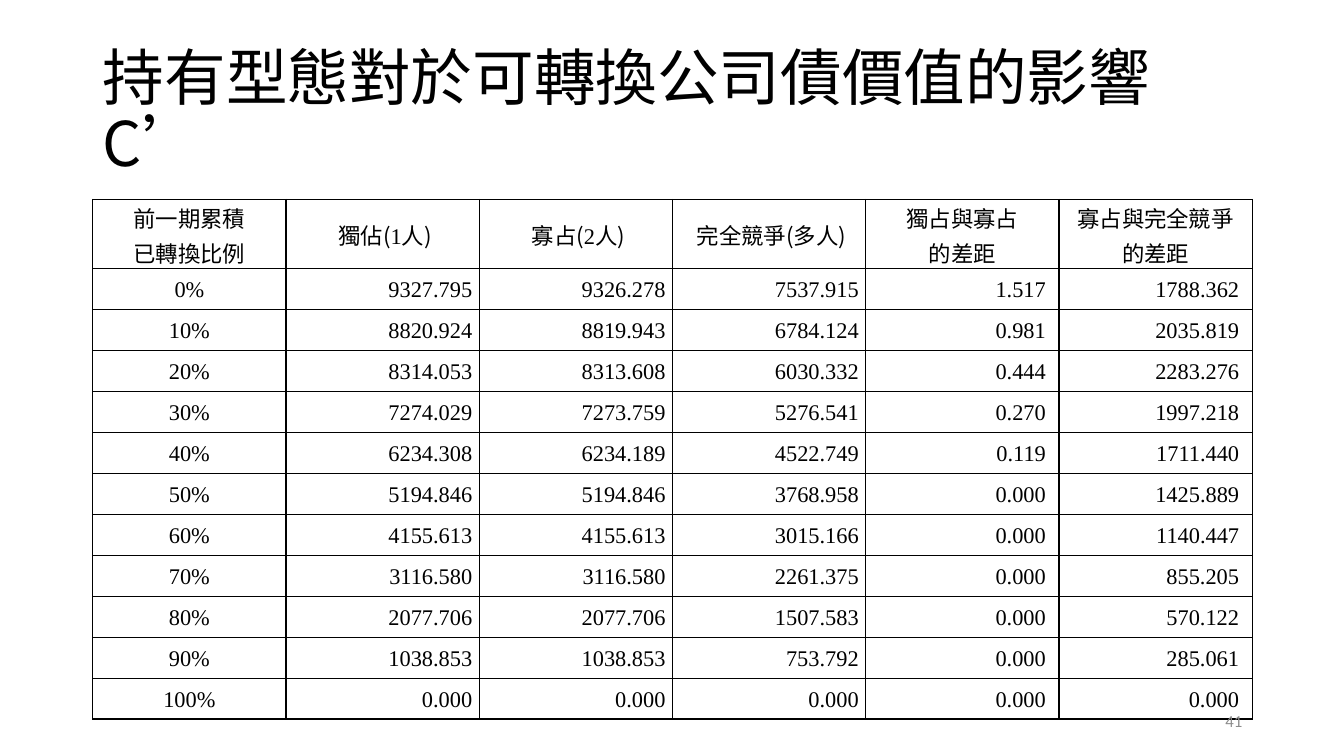
import dataclasses

import lxml.etree
import pptx
import pptx.dml.color
import pptx.enum.text
import pptx.oxml.ns
import pptx.util

Inches = pptx.util.Inches
ALIGN = pptx.enum.text.PP_ALIGN
MIDDLE = pptx.enum.text.MSO_ANCHOR.MIDDLE

COLORS = {"ink": "000000", "paper": "FFFFFF", "page_number": "8C8C8C"}
CJK, SERIF, SANS = "Noto Sans CJK SC", "Times New Roman", "Calibri"

TABLE_LEFT, TABLE_TOP, TABLE_WIDTH = 0.92, 1.98, 11.5
HEADER_HEIGHT, BODY_HEIGHT = 0.56, 4.47
CELL_MARGIN, GAP_MARGIN = 0.07, 0.13


@dataclasses.dataclass
class Piece:
    text: str
    font: str = CJK


@dataclasses.dataclass
class Column:
    heading: list[list[Piece]]
    values: list[str]
    align: ALIGN = ALIGN.RIGHT
    right_margin: float = CELL_MARGIN


COLUMNS = [
    Column([[Piece("前一期累積")], [Piece("已轉換比例")]],
           [f"{percent}%" for percent in range(0, 101, 10)], ALIGN.CENTER),
    Column([[Piece(" 獨佔("), Piece("1", SERIF), Piece("人)")]],
           ["9327.795", "8820.924", "8314.053", "7274.029", "6234.308", "5194.846",
            "4155.613", "3116.580", "2077.706", "1038.853", "0.000"]),
    Column([[Piece(" 寡占("), Piece("2", SERIF), Piece("人)")]],
           ["9326.278", "8819.943", "8313.608", "7273.759", "6234.189", "5194.846",
            "4155.613", "3116.580", "2077.706", "1038.853", "0.000"]),
    Column([[Piece(" 完全競爭(多人)")]],
           ["7537.915", "6784.124", "6030.332", "5276.541", "4522.749", "3768.958",
            "3015.166", "2261.375", "1507.583", "753.792", "0.000"]),
    Column([[Piece("獨占與寡占")], [Piece("的差距")]],
           ["1.517", "0.981", "0.444", "0.270", "0.119"] + ["0.000"] * 6,
           right_margin=GAP_MARGIN),
    Column([[Piece("寡占與完全競爭")], [Piece("的差距")]],
           ["1788.362", "2035.819", "2283.276", "1997.218", "1711.440", "1425.889",
            "1140.447", "855.205", "570.122", "285.061", "0.000"],
           right_margin=GAP_MARGIN),
]


def add_run(paragraph, piece: Piece, size: float, color: str = "ink") -> None:
    run = paragraph.add_run()
    run.text = piece.text
    run.font.size = pptx.util.Pt(size)
    run.font.color.rgb = pptx.dml.color.RGBColor.from_string(COLORS[color])
    run.font.name = piece.font
    # East Asian typeface follows the Latin one
    latin = run.font._element.find(pptx.oxml.ns.qn("a:latin"))
    east_asian = lxml.etree.Element(pptx.oxml.ns.qn("a:ea"), typeface=piece.font)
    latin.addnext(east_asian)


def add_borders(cell) -> None:
    properties = cell._tc.get_or_add_tcPr()
    for side in ("lnL", "lnR", "lnT", "lnB"):
        line = lxml.etree.SubElement(properties, pptx.oxml.ns.qn(f"a:{side}"),
                                     w=str(pptx.util.Pt(1)))
        fill = lxml.etree.SubElement(line, pptx.oxml.ns.qn("a:solidFill"))
        lxml.etree.SubElement(fill, pptx.oxml.ns.qn("a:srgbClr"), val=COLORS["ink"])


def fill_cell(cell, lines: list[list[Piece]], align: ALIGN, right_margin: float) -> None:
    add_borders(cell)
    cell.fill.solid()
    cell.fill.fore_color.rgb = pptx.dml.color.RGBColor.from_string(COLORS["paper"])
    cell.vertical_anchor = MIDDLE
    cell.margin_left, cell.margin_right = Inches(CELL_MARGIN), Inches(right_margin)
    cell.margin_top = cell.margin_bottom = 0
    frame = cell.text_frame
    for index, line in enumerate(lines):
        paragraph = frame.add_paragraph() if index else frame.paragraphs[0]
        paragraph.alignment = align
        paragraph.line_spacing = 1.07
        for piece in line:
            add_run(paragraph, piece, 16)


def add_title(slide) -> None:
    title = slide.shapes.title
    title.left, title.top = Inches(0.92), Inches(0.4)
    title.width, title.height = Inches(11.5), Inches(1.45)
    frame = title.text_frame
    frame.word_wrap = True
    frame.auto_size = pptx.enum.text.MSO_AUTO_SIZE.NONE
    frame.vertical_anchor = MIDDLE
    paragraph = frame.paragraphs[0]
    paragraph.alignment = ALIGN.LEFT
    paragraph.line_spacing = 0.9
    add_run(paragraph, Piece("持有型態對於可轉換公司債價值的影響C’"), 44)


def add_value_table(slide) -> None:
    body_rows = len(COLUMNS[0].values)
    table = slide.shapes.add_table(
        body_rows + 1, len(COLUMNS), Inches(TABLE_LEFT), Inches(TABLE_TOP),
        Inches(TABLE_WIDTH), Inches(HEADER_HEIGHT + BODY_HEIGHT)).table
    table.first_row = table.horz_banding = False
    for index, row in enumerate(table.rows):
        row.height = Inches(BODY_HEIGHT / body_rows if index else HEADER_HEIGHT)
    for index, column in enumerate(COLUMNS):
        table.columns[index].width = Inches(TABLE_WIDTH / len(COLUMNS))
        fill_cell(table.cell(0, index), column.heading, ALIGN.CENTER, CELL_MARGIN)
        for row_index, value in enumerate(column.values, start=1):
            fill_cell(table.cell(row_index, index), [[Piece(value, SERIF)]],
                      column.align, column.right_margin)


def add_page_number(slide) -> None:
    box = slide.shapes.add_textbox(Inches(9.42), Inches(6.95), Inches(3), Inches(0.4))
    box.text_frame.word_wrap = True
    box.text_frame.vertical_anchor = MIDDLE
    paragraph = box.text_frame.paragraphs[0]
    paragraph.alignment = ALIGN.RIGHT
    add_run(paragraph, Piece("41", SANS), 12, "page_number")


def main() -> None:
    presentation = pptx.Presentation()
    presentation.slide_width, presentation.slide_height = Inches(13.33), Inches(7.5)
    slide = presentation.slides.add_slide(presentation.slide_layouts[5])
    add_title(slide)
    add_value_table(slide)
    add_page_number(slide)
    presentation.save("out.pptx")


if __name__ == "__main__":
    main()
